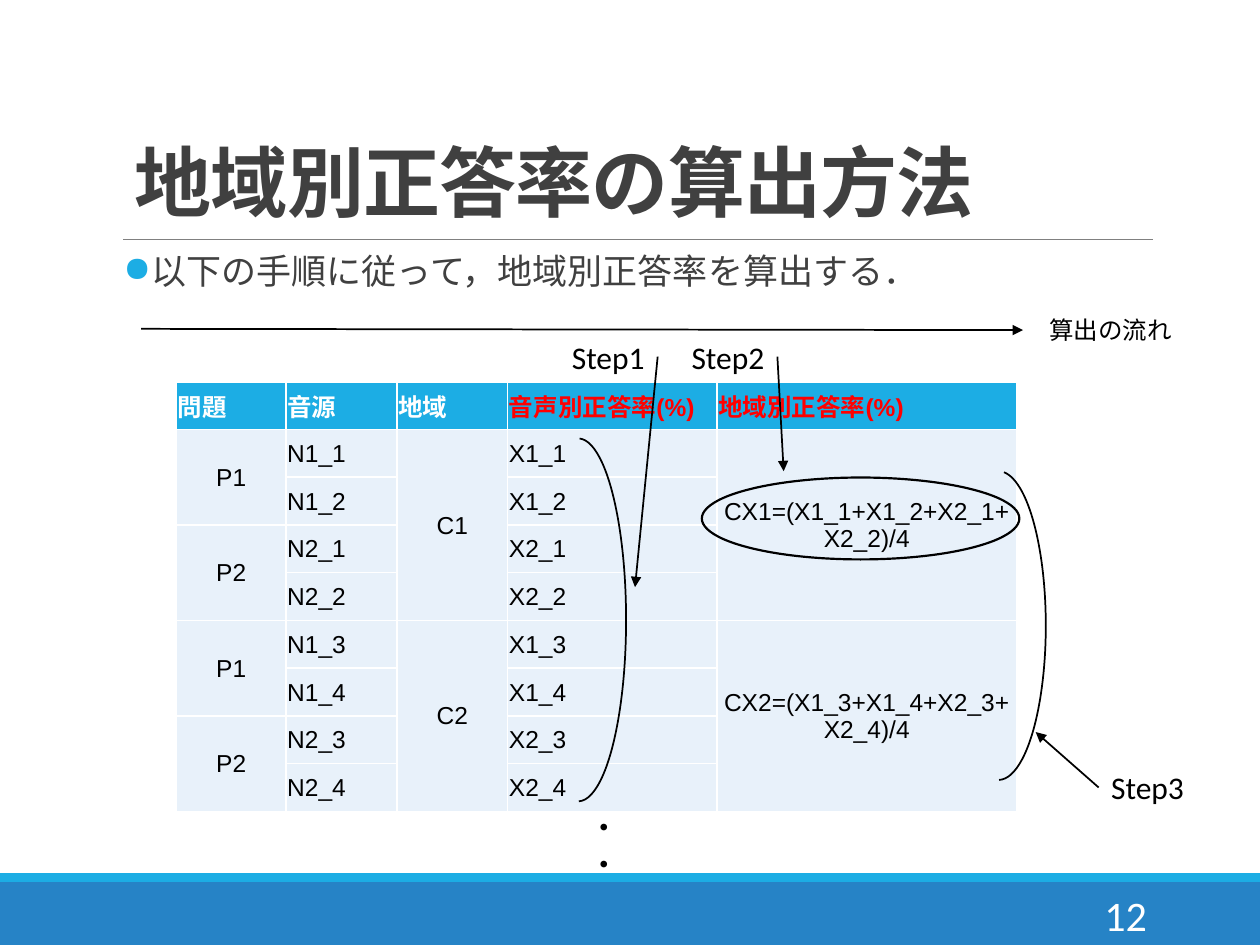
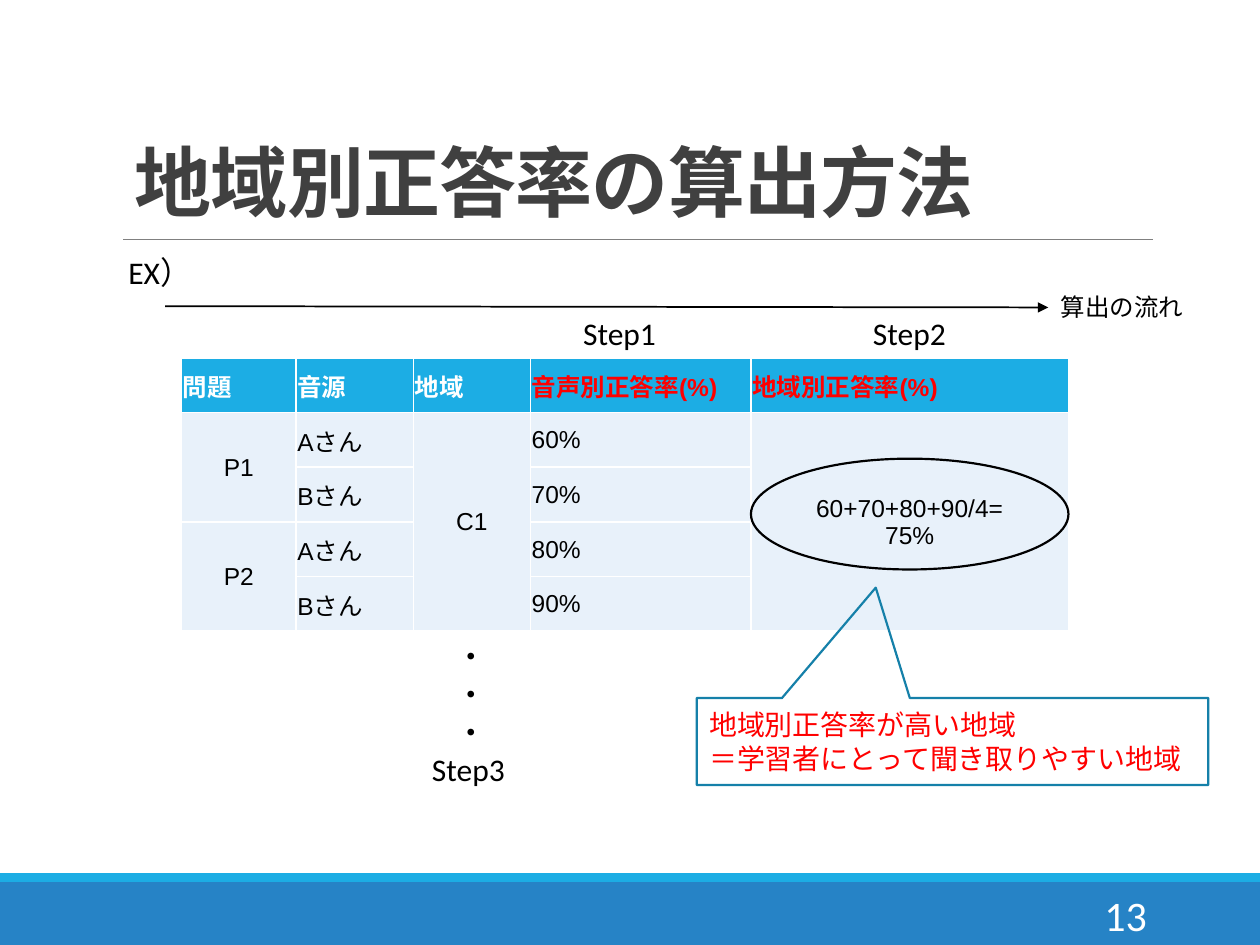
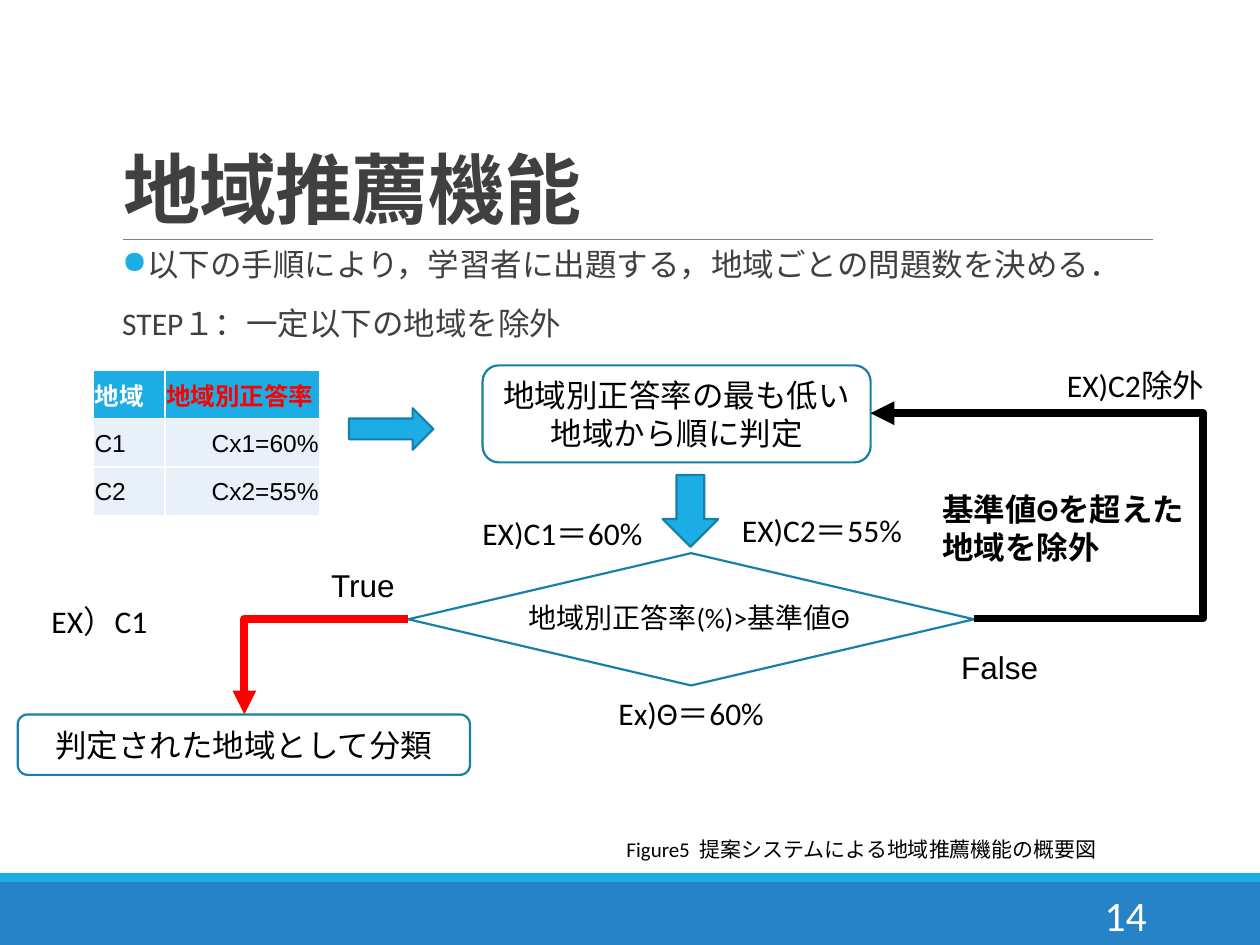
from lxml import etree
from pptx import Presentation
from pptx.dml.color import RGBColor
from pptx.enum.shapes import MSO_CONNECTOR, MSO_SHAPE
from pptx.enum.text import MSO_ANCHOR, MSO_AUTO_SIZE, PP_ALIGN
from pptx.oxml.ns import qn
from pptx.util import Inches, Pt

LEFT, CENTER, RIGHT = PP_ALIGN.LEFT, PP_ALIGN.CENTER, PP_ALIGN.RIGHT
MIDDLE, BOTTOM = MSO_ANCHOR.MIDDLE, MSO_ANCHOR.BOTTOM
STRAIGHT, ELBOW = MSO_CONNECTOR.STRAIGHT, MSO_CONNECTOR.ELBOW
RECTANGLE, ELLIPSE, ARC = MSO_SHAPE.RECTANGLE, MSO_SHAPE.OVAL, MSO_SHAPE.ARC
CALLOUT = MSO_SHAPE.RECTANGULAR_CALLOUT
PROCESS = MSO_SHAPE.FLOWCHART_ALTERNATE_PROCESS
DECISION = MSO_SHAPE.FLOWCHART_DECISION
RIGHT_ARROW, DOWN_ARROW = MSO_SHAPE.RIGHT_ARROW, MSO_SHAPE.DOWN_ARROW

BLACK, WHITE, RED = "000000", "FFFFFF", "FF0000"
ACCENT, OUTLINE, FOOTER_BLUE = "1CADE4", "1580A9", "2683C6"
DARK_GRAY, RULE_GRAY, CELL_BLUE = "404040", "808080", "E8F1FA"

TOP_SIDE, LEFT_SIDE, BOTTOM_SIDE, RIGHT_SIDE = range(4)
METHOD_TITLE = "地域別正答率の算出方法"
METHOD_TITLE_BOX = (0.97, 0.9, 9.37, 0.95)
RATE_HEADER = ["問題", "音源", "地域", "音声別正答率(%)", "地域別正答率(%)"]


def rgb(hex_color):
    return RGBColor.from_string(hex_color)


def inches(lengths):
    return [Inches(length) for length in lengths]


def style_paragraph(paragraph, size, color=BLACK, bold=False, font="Calibri", align=LEFT):
    paragraph.alignment = align
    for run in paragraph.runs:
        run.font.name = font
        run.font.size = Pt(size)
        run.font.bold = bold
        run.font.color.rgb = rgb(color)


def write(frame, text, size, **style):
    frame.text = text
    for paragraph in frame.paragraphs:
        style_paragraph(paragraph, size, **style)


def add_label(slide, box, text, size=18, right_inset=0, **style):
    label = slide.shapes.add_textbox(*inches(box))
    frame = label.text_frame
    frame.word_wrap = True
    frame.margin_right = Inches(right_inset)
    write(frame, text, size, **style)
    return label


def add_figure(slide, preset, box, fill=None, line=OUTLINE, weight=1.25, adjustments=()):
    figure = slide.shapes.add_shape(preset, *inches(box))
    figure.shadow.inherit = False
    for index, value in enumerate(adjustments):
        figure.adjustments[index] = value
    if fill:
        figure.fill.solid()
        figure.fill.fore_color.rgb = rgb(fill)
    else:
        figure.fill.background()
    if line:
        figure.line.color.rgb = rgb(line)
        figure.line.width = Pt(weight)
    else:
        figure.line.fill.background()
    return figure


def add_process(slide, box, text):
    process = add_figure(slide, PROCESS, box)
    process.text_frame.word_wrap = True
    process.text_frame.vertical_anchor = MIDDLE
    write(process.text_frame, text, 18, align=CENTER)


def add_line(slide, start, end, color=BLACK, weight=1, kind=STRAIGHT):
    line = slide.shapes.add_connector(kind, *inches(start + end))
    line.line.color.rgb = rgb(color)
    line.line.width = Pt(weight)
    etree.SubElement(line._element.spPr, qn("a:effectLst"))
    return line


def add_arrow(slide, start, end, **style):
    arrow = add_line(slide, start, end, **style)
    etree.SubElement(arrow.line._get_or_add_ln(), qn("a:tailEnd"), type="triangle")
    return arrow


def add_branch(slide, start, end, color, bend=None):
    """Thick elbow arrow: one corner, or two with the bend as a share of its width."""
    branch = add_arrow(slide, start, end, color=color, weight=4.5, kind=ELBOW)
    geometry = branch._element.spPr.find(qn("a:prstGeom"))
    if bend is None:
        geometry.set("prst", "bentConnector2")
    else:
        guides = geometry.find(qn("a:avLst"))
        etree.SubElement(guides, qn("a:gd"), name="adj1", fmla=f"val {round(bend * 100000)}")


def add_borders(cell):
    properties = cell._tc.get_or_add_tcPr()
    for side in ("lnL", "lnR", "lnT", "lnB"):
        border = etree.SubElement(properties, qn(f"a:{side}"), w=str(Pt(1)))
        fill = etree.SubElement(border, qn("a:solidFill"))
        etree.SubElement(fill, qn("a:srgbClr"), val=WHITE)


def add_rate_table(slide, left, top, height, widths, header, rows, last_align=LEFT):
    """Table in which None continues the cell above; merged cells are centred."""
    grid = [header] + rows
    frame = slide.shapes.add_table(
        len(grid), len(widths), *inches((left, top, sum(widths), height)))
    table = frame.table
    table.horz_banding = False
    for column, width in zip(table.columns, widths):
        column.width = Inches(width)
    for row in table.rows:
        row.height = Inches(height / len(grid))
    for r, texts in enumerate(grid):
        for c, text in enumerate(texts):
            cell = table.cell(r, c)
            add_borders(cell)
            cell.fill.solid()
            cell.fill.fore_color.rgb = rgb(CELL_BLUE if r else ACCENT)
            cell.vertical_anchor = MIDDLE
            cell.margin_left = cell.margin_right = cell.margin_top = Inches(0.01)
            cell.margin_bottom = 0
            if text is None:
                continue
            last = r
            while last + 1 < len(grid) and grid[last + 1][c] is None:
                last += 1
            align = last_align if r and c == len(widths) - 1 else LEFT
            if last > r:
                cell.merge(table.cell(last, c))
                align = CENTER
            color = BLACK if r else RED if "正答率" in text else WHITE
            write(cell.text_frame, text, 14, color=color, bold=r == 0,
                  font="Arial", align=align)


def add_body(slide, box, lines, size):
    """Bulleted first line, then plain lines."""
    frame = slide.shapes.add_textbox(*inches(box)).text_frame
    frame.word_wrap = True
    frame.margin_left = frame.margin_right = 0
    frame.text = "\n".join(lines)
    for index, paragraph in enumerate(frame.paragraphs):
        paragraph.line_spacing = 0.9
        paragraph.space_before = Pt(12 if index else 0)
        paragraph.space_after = Pt(2)
        if index == 0:
            properties = paragraph._p.get_or_add_pPr()
            properties.set("marL", str(Inches(0.1)))
            properties.set("indent", str(Inches(-0.1)))
            bullet_color = etree.SubElement(properties, qn("a:buClr"))
            etree.SubElement(bullet_color, qn("a:srgbClr"), val=ACCENT)
            etree.SubElement(properties, qn("a:buChar"), char="●")
        style_paragraph(paragraph, size, color=DARK_GRAY)


def add_base_slide(deck, title_text, title_box, number):
    """Slide with title, rule, footer bands and page number."""
    slide = deck.slides.add_slide(deck.slide_layouts[5])
    add_figure(slide, RECTANGLE, (0, 7, 10, 0.5), FOOTER_BLUE, line=None)
    add_figure(slide, RECTANGLE, (0, 6.93, 10, 0.07), ACCENT, line=None)
    add_line(slide, (0.98, 1.9), (9.15, 1.9), RULE_GRAY, 0.5)
    title = slide.shapes.title
    title.left, title.top, title.width, title.height = inches(title_box)
    frame = title.text_frame
    frame.auto_size = MSO_AUTO_SIZE.NONE
    frame.vertical_anchor = BOTTOM
    write(frame, title_text, 44, color=DARK_GRAY, bold=True)
    frame.paragraphs[0].line_spacing = 0.85
    frame.paragraphs[0].runs[0].font._element.set("spc", "-50")
    page = add_label(slide, (8.12, 7.06, 1.08, 0.4), str(number), 24, 0.1,
                     color=WHITE, align=RIGHT)
    page.text_frame.vertical_anchor = MIDDLE
    return slide


def add_step(slide, number, left, top):
    return add_label(slide, (left, top, 0.78, 0.4), f"Step{number}")


def add_flow_label(slide, left, top):
    return add_label(slide, (left, top, 1.27, 0.34), "算出の流れ", 14)


def build_method_slide(deck):
    slide = add_base_slide(deck, METHOD_TITLE, METHOD_TITLE_BOX, 12)
    add_rate_table(slide, 1.4, 3.03, 3.41, [0.87, 0.88, 0.88, 1.66, 2.38], RATE_HEADER, [
        ["P1", "N1_1", "C1", "X1_1", "CX1=(X1_1+X1_2+X2_1+X2_2)/4"],
        [None, "N1_2", None, "X1_2", None],
        ["P2", "N2_1", None, "X2_1", None],
        [None, "N2_2", None, "X2_2", None],
        ["P1", "N1_3", "C2", "X1_3", "CX2=(X1_3+X1_4+X2_3+X2_4)/4"],
        [None, "N1_4", None, "X1_4", None],
        ["P2", "N2_3", None, "X2_3", None],
        [None, "N2_4", None, "X2_4", None],
    ])
    add_label(slide, (4.57, 6.36, 0.4, 0.71), "・\n・")
    add_arrow(slide, (1.12, 2.61), (8.12, 2.62))
    add_flow_label(slide, 8.23, 2.45)
    step1 = add_step(slide, 1, 4.44, 2.63)
    step2 = add_step(slide, 2, 5.39, 2.63)
    step3 = add_step(slide, 3, 8.72, 6.05)
    add_figure(slide, ARC, (4.21, 3.48, 0.76, 2.88), line=BLACK, weight=1,
               adjustments=(162.26, 53.88))
    add_figure(slide, ARC, (7.55, 3.74, 0.75, 2.45), line=BLACK, weight=1,
               adjustments=(163.22, 53.88))
    add_figure(slide, ELLIPSE, (5.57, 3.79, 2.52, 0.65), line=BLACK)
    add_arrow(slide, (5.22, 2.83), (5.04, 4.66)).begin_connect(step1, RIGHT_SIDE)
    add_arrow(slide, (6.17, 2.83), (6.22, 3.74)).begin_connect(step2, RIGHT_SIDE)
    add_arrow(slide, (8.72, 6.25), (8.22, 5.81)).begin_connect(step3, LEFT_SIDE)
    add_body(slide, (0.98, 1.97, 8.82, 2.44),
             ["以下の手順に従って，地域別正答率を算出する．"], 20)


def build_example_slide(deck):
    slide = add_base_slide(deck, METHOD_TITLE, METHOD_TITLE_BOX, 13)
    add_rate_table(slide, 1.44, 2.84, 2.17, [0.91, 0.93, 0.93, 1.75, 2.52], RATE_HEADER, [
        ["P1", "Aさん", "C1", "60%", "60+70+80+90/4=\n75%"],
        [None, "Bさん", None, "70%", None],
        ["P2", "Aさん", None, "80%", None],
        [None, "Bさん", None, "90%", None],
    ])
    add_label(slide, (3.52, 5.01, 0.4, 1.01), "・\n・\n・")
    flow = add_flow_label(slide, 8.32, 2.27)
    add_arrow(slide, (1.31, 2.43), (8.32, 2.44)).end_connect(flow, LEFT_SIDE)
    add_step(slide, 1, 4.53, 2.44)
    add_step(slide, 2, 6.83, 2.44)
    add_step(slide, 3, 3.33, 5.9)
    add_figure(slide, ELLIPSE, (5.96, 3.64, 2.52, 0.88), line=BLACK)
    remark = add_figure(slide, CALLOUT, (5.53, 5.54, 4.06, 0.69),
                        adjustments=(-0.15, -1.77))
    remark.text_frame.word_wrap = True
    remark.text_frame.vertical_anchor = MIDDLE
    write(remark.text_frame, "地域別正答率が高い地域\n＝学習者にとって聞き取りやすい地域",
          16, color=RED)
    add_label(slide, (0.92, 1.96, 0.79, 0.4), "EX）")


def build_recommendation_slide(deck):
    slide = add_base_slide(deck, "地域推薦機能", (0.88, 0.74, 8.96, 1.17), 14)
    add_label(slide, (4.68, 6.59, 4.32, 0.3),
              "Figure5  提案システムによる地域推薦機能の概要図", 12, 0.1, align=CENTER)
    add_rate_table(slide, 0.74, 2.94, 1.15, [0.57, 1.23], ["地域", "地域別正答率"],
                   [["C1", "Cx1=60%"], ["C2", "Cx2=55%"]], last_align=RIGHT)
    add_figure(slide, RIGHT_ARROW, (2.77, 3.24, 0.67, 0.33), ACCENT)
    add_process(slide, (3.83, 2.9, 3.08, 0.77), "地域別正答率の最も低い地域から順に判定")
    add_figure(slide, DOWN_ARROW, (5.26, 3.77, 0.44, 0.57), ACCENT)
    add_figure(slide, DECISION, (3.24, 4.39, 4.49, 1.05))
    add_label(slide, (4.1, 4.72, 3.1, 0.37), "地域別正答率(%)>基準値Θ", 16)
    add_label(slide, (7.53, 5.09, 0.84, 0.4), "False", font="Arial")
    add_label(slide, (2.53, 4.44, 0.76, 0.4), "True", font="Arial")
    add_branch(slide, (7.73, 4.91), (6.91, 3.28), BLACK, bend=-2.22)
    add_branch(slide, (3.24, 4.91), (1.94, 5.67), RED)
    add_process(slide, (0.14, 5.67, 3.59, 0.48), "判定された地域として分類")
    add_label(slide, (7.38, 3.84, 2.21, 0.71), "基準値Θを超えた地域を除外",
              right_inset=0.1, bold=True)
    add_label(slide, (4.81, 5.46, 1.99, 0.4), "Ex)Θ＝60%")
    add_label(slide, (3.73, 4.03, 1.64, 0.4), "EX)C1＝60%")
    add_label(slide, (5.79, 4.01, 1.64, 0.4), "EX)C2＝55%")
    add_label(slide, (0.31, 4.73, 1.5, 0.4), "EX）C1")
    add_label(slide, (8.37, 2.86, 1.64, 0.4), "EX)C2除外")
    add_body(slide, (0.97, 1.93, 8.86, 1.27),
             ["以下の手順により，学習者に出題する，地域ごとの問題数を決める．",
              "STEP１：一定以下の地域を除外"], 18)


def main():
    deck = Presentation()
    deck.slide_width, deck.slide_height = Inches(10), Inches(7.5)
    build_method_slide(deck)
    build_example_slide(deck)
    build_recommendation_slide(deck)
    deck.save("out.pptx")


if __name__ == "__main__":
    main()
